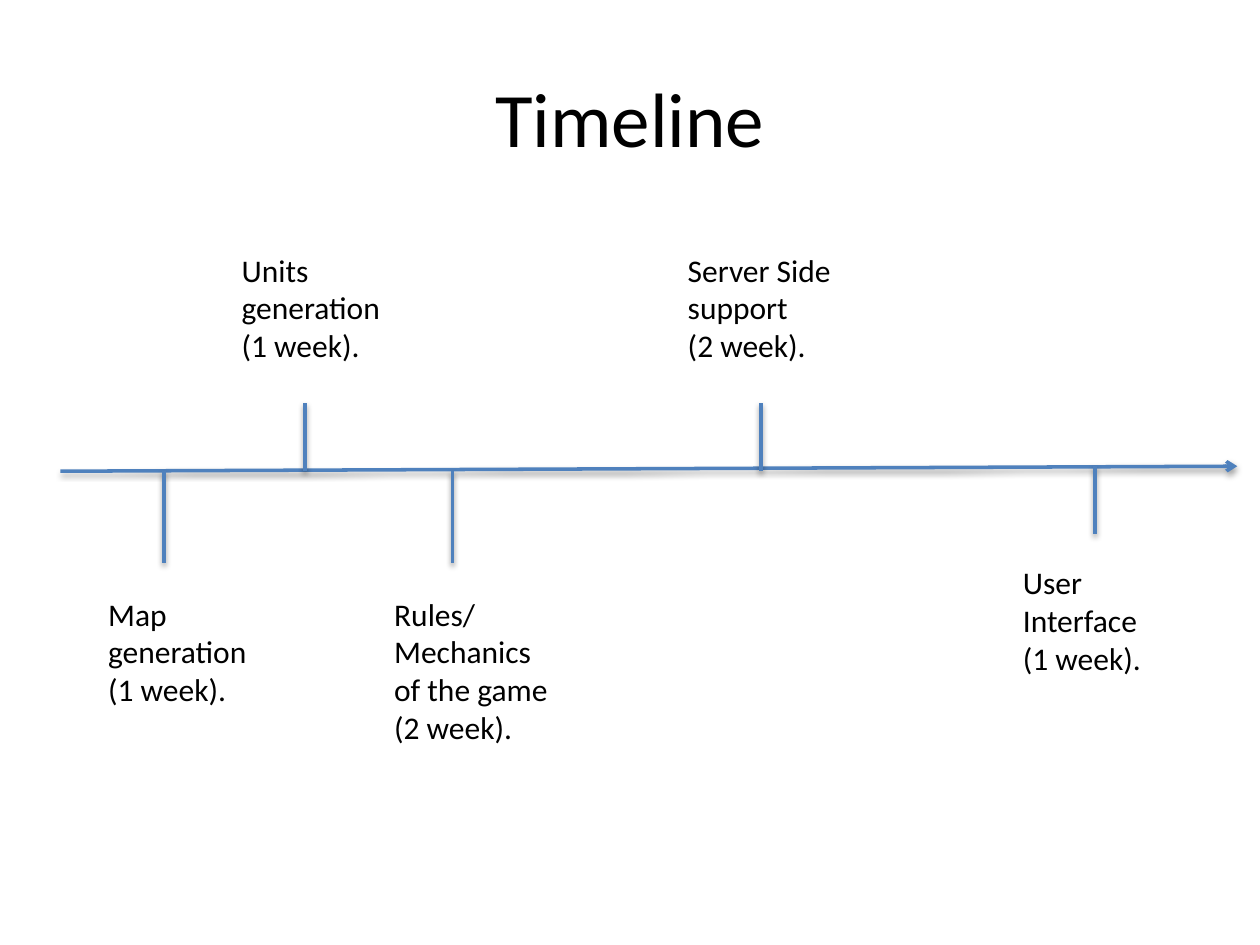
from pptx import Presentation
from pptx.dml.color import RGBColor
from pptx.enum.shapes import MSO_CONNECTOR
from pptx.enum.text import MSO_ANCHOR, MSO_AUTO_SIZE, PP_ALIGN
from pptx.oxml import parse_xml
from pptx.oxml.ns import nsdecls
from pptx.util import Inches, Pt

STRAIGHT = MSO_CONNECTOR.STRAIGHT
MIDDLE = MSO_ANCHOR.MIDDLE
GROW = MSO_AUTO_SIZE.SHAPE_TO_FIT_TEXT
LEFT, CENTER = PP_ALIGN.LEFT, PP_ALIGN.CENTER
BLUE = RGBColor(0x4F, 0x81, 0xBD)
BLACK = RGBColor(0, 0, 0)
FONT = "Calibri"
SHADOW = (
    f'<a:effectLst {nsdecls("a")}>'
    '<a:outerShdw blurRad="40000" dist="20000" dir="5400000" rotWithShape="0">'
    '<a:srgbClr val="000000"><a:alpha val="38000"/></a:srgbClr>'
    '</a:outerShdw></a:effectLst>'
)
ARROWHEAD = f'<a:tailEnd {nsdecls("a")} type="arrow"/>'


def write_text(frame, text, size=18, align=LEFT):
    frame.word_wrap = True
    frame.text = text
    for paragraph in frame.paragraphs:
        paragraph.alignment = align
        paragraph.font.name = FONT
        paragraph.font.size = Pt(size)
        paragraph.font.color.rgb = BLACK


def draw_line(x1, y1, x2, y2):
    line = slide.shapes.add_connector(
        STRAIGHT, Inches(x1), Inches(y1), Inches(x2), Inches(y2))
    line.line.color.rgb = BLUE
    line.line.width = Pt(2)
    line._element.spPr.append(parse_xml(SHADOW))
    return line


presentation = Presentation()
presentation.slide_width = Inches(10)
presentation.slide_height = Inches(7.5)
slide = presentation.slides.add_slide(presentation.slide_layouts[5])

title = slide.shapes.title
title.left, title.top = Inches(0.5), Inches(0.3)
title.width, title.height = Inches(9), Inches(1.25)
title.text_frame.vertical_anchor = MIDDLE
write_text(title.text_frame, "Timeline", size=44, align=CENTER)

time_axis = draw_line(0.48, 3.74, 9.82, 3.7)
time_axis.line._get_or_add_ln().append(parse_xml(ARROWHEAD))

milestones = [
    ("Map generation (1 week).", 1.3, 3.74, 4.47, 0.76, 4.67, 1.32, 1.31),
    ("Units generation (1 week).", 2.42, 3.2, 3.74, 1.82, 1.94, 1.36, 1.31),
    ("Rules/Mechanics of the game (2 week).", 3.59, 3.74, 4.47, 3.03, 4.67, 1.49, 1.62),
    ("Server Side support\n(2 week).", 6.04, 3.2, 3.74, 5.36, 1.94, 1.49, 1.01),
    ("User Interface (1 week).", 8.69, 3.7, 4.24, 8.02, 4.42, 1.33, 1.01),
]
for task, tick_x, tick_top, tick_bottom, left, top, width, height in milestones:
    draw_line(tick_x, tick_top, tick_x, tick_bottom)
    label = slide.shapes.add_textbox(
        Inches(left), Inches(top), Inches(width), Inches(height))
    write_text(label.text_frame, task)
    label.text_frame.auto_size = GROW

presentation.save("out.pptx")
